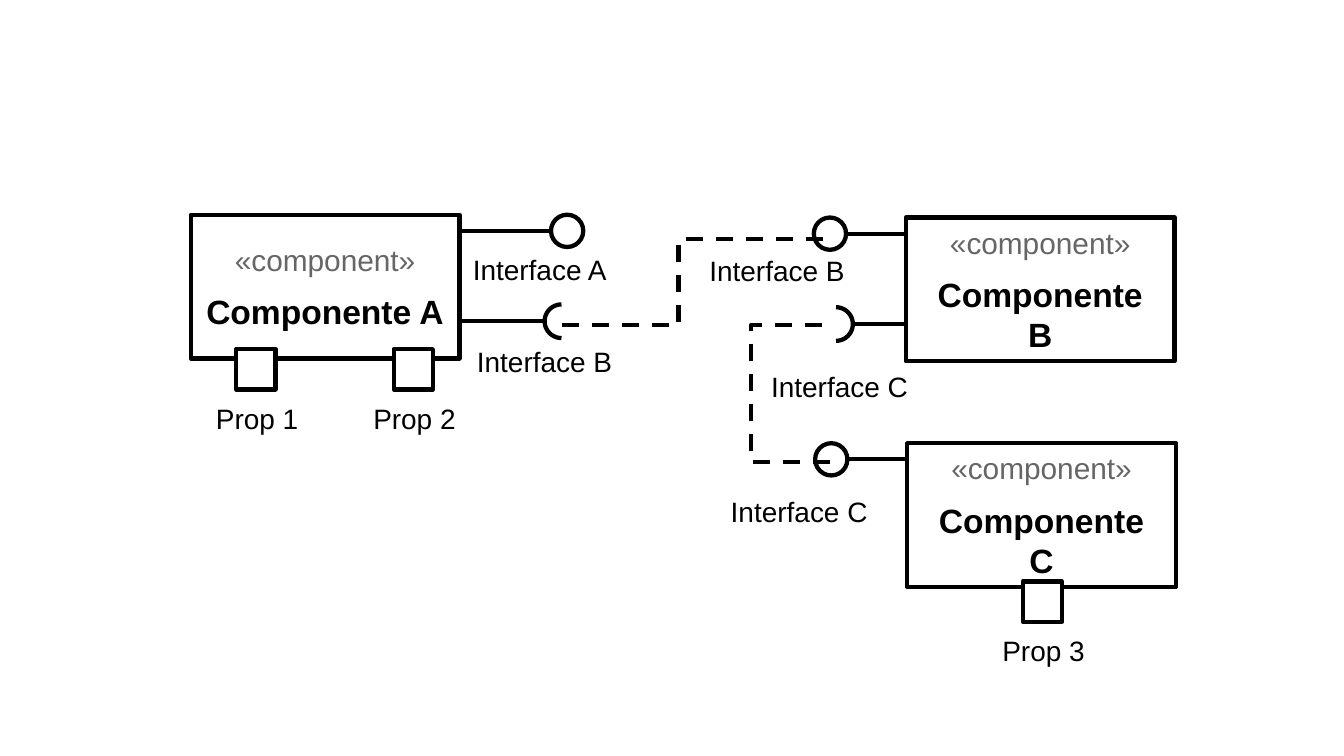
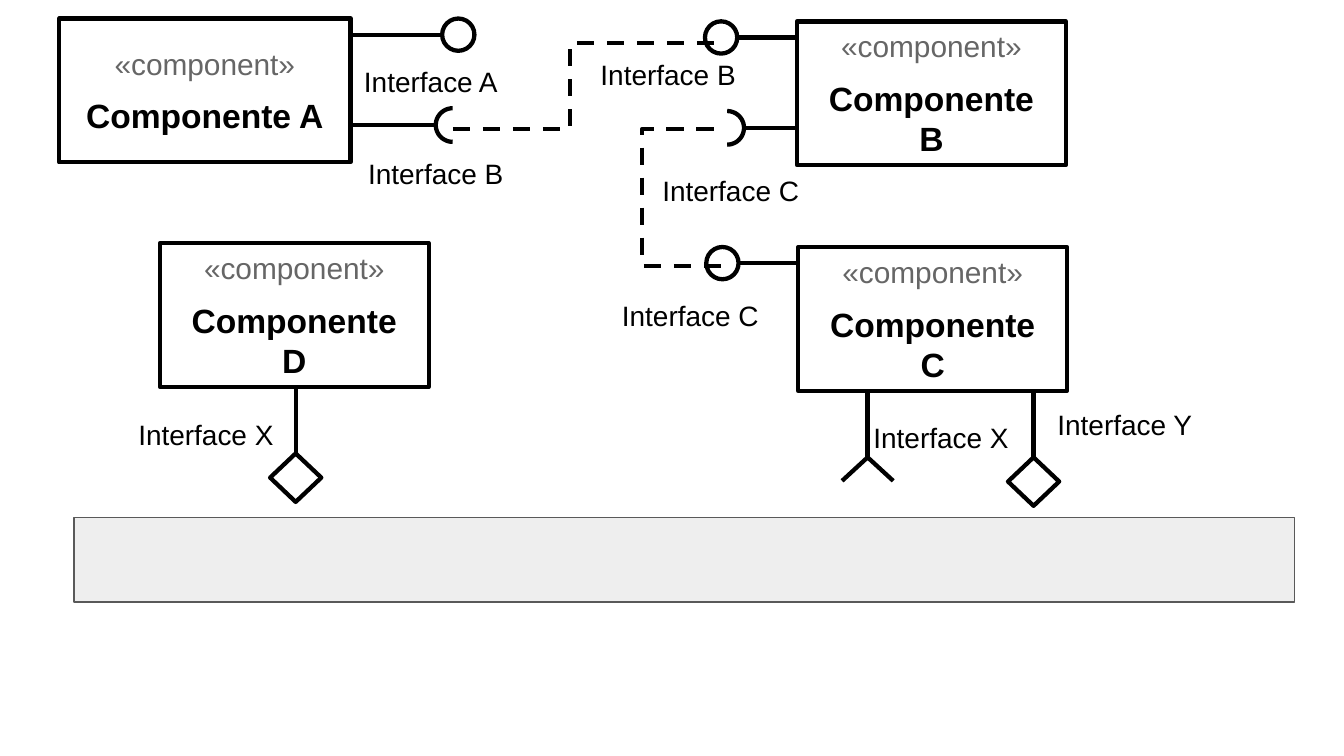
from dataclasses import dataclass
from math import cos, pi, sin

from pptx import Presentation
from pptx.dml.color import RGBColor
from pptx.enum.dml import MSO_LINE
from pptx.enum.shapes import MSO_CONNECTOR, MSO_SHAPE
from pptx.enum.text import MSO_ANCHOR, PP_ALIGN
from pptx.oxml.ns import qn
from pptx.util import Pt
from lxml.etree import SubElement


@dataclass(frozen=True)
class Theme:
    ink: str = "000000"
    paper: str = "FFFFFF"
    muted: str = "666666"
    bus_fill: str = "EEEEEE"
    bus_line: str = "595959"
    font: str = "Arial"
    stereotype_size: float = 16
    name_size: float = 18
    label_size: float = 15
    stroke: float = 2.3
    thin: float = 0.75


THEME = Theme()
WIDTH, HEIGHT = 720, 405
BOX_WIDTH, BOX_HEIGHT = 144, 77
BALL = 17.3
PROVIDED_DEPTH, REQUIRED_DEPTH = 8.6, 57
DIAMOND = (27.4, 26)
CHEVRON_HEIGHT = 12.6
DROP_LENGTH = 34.6
PROPERTY = (21, 21.6)

# Places in INTERFACES, WIRES and LABELS count from the top right corner of component A.
COMPONENT_B = (239.1, 1.5)
COMPONENT_C = (239.8, 122.4)

# kind, corner of its component, direction away from it, length of the line
INTERFACES = [
    ("provided", (0, 0), 1, 49),
    ("required", (0, 0), 1, 44.6),
    ("provided", COMPONENT_B, -1, 32),
    ("required", COMPONENT_B, -1, 27.4),
    ("provided", COMPONENT_C, -1, 32),
]
WIRES = [
    [(54.7, 59), (117.4, 59), (117.4, 13), (198.7, 13)],
    [(194.4, 59), (156.2, 59), (156.2, 132.5), (200.9, 132.5)],
]
LABELS = [
    ("Interface B", 126.7, 17.3, 107.3),
    ("Interface C", 159.8, 79.2, 107.3),
    ("Interface C", 138.2, 146.2, 103),
]
LABELS_A = [
    ("Interface A", 0, 16.6, 107.3),
    ("Interface B", 2.2, 66.2, 111.6),
]

# text, middle of the square from the component's left, overlap with the component
PROPERTY_SLIDE = {
    "origin": (246.2, 115.1),
    "width_a": 144,
    "label_shift": 0,
    "properties": {
        "Componente A": [("Prop 1", 34.9, 5), ("Prop 2", 119.2, 5)],
        "Componente C": [("Prop 3", 72.4, 3)],
    },
}
BUS_SLIDE = {
    "origin": (187.9, 10),
    "width_a": 156.2,
    "label_shift": 4.3,
    "extra": ("Componente D", 85.7, 130.3),
    # end mark, distance from the component's left
    "drops": {
        "Componente C": [("chevron", 37.1), ("diamond", 126)],
        "Componente D": [("diamond", 72.7)],
    },
    "drop_labels": [
        ("Interface X", 460.8, 221.8, 111.6),
        ("Interface Y", 559.4, 214.6, 107.3),
        ("Interface X", 67, 220.3, 90.7),
    ],
    "bus": (39.6, 277.2, 653.8, 45.4),
}


def color(value):
    return RGBColor.from_string(value)


def apply(target, **values):
    for name, value in values.items():
        setattr(target, name, value)


def style_line(item, line_color=THEME.ink, weight=THEME.stroke):
    item.line.color.rgb = color(line_color)
    item.line.width = Pt(weight)


def add_block(page, kind, left, top, width, height, fill=THEME.paper, **line):
    block = page.shapes.add_shape(kind, Pt(left), Pt(top), Pt(width), Pt(height))
    block.shadow.inherit = False
    block.fill.solid()
    block.fill.fore_color.rgb = color(fill)
    style_line(block, **line)
    return block


def add_line(page, start, end):
    line = page.shapes.add_connector(MSO_CONNECTOR.STRAIGHT, *map(Pt, start + end))
    style_line(line)
    SubElement(line._element.spPr, qn("a:effectLst"))


def add_polyline(page, points, dash=None):
    corners = [(Pt(x), Pt(y)) for x, y in points]
    builder = page.shapes.build_freeform(*corners[0])
    builder.add_line_segments(corners[1:], close=False)
    outline = builder.convert_to_shape()
    outline.shadow.inherit = False
    outline.fill.background()
    style_line(outline)
    if dash:
        outline.line.dash_style = dash


def write(para, text, size, ink=THEME.ink, bold=False):
    span = para.add_run()
    span.text = text
    apply(span.font, name=THEME.font, size=Pt(size), bold=bold)
    span.font.color.rgb = color(ink)


def add_label(page, text, left, top, width):
    frame = page.shapes.add_textbox(Pt(left), Pt(top), Pt(width), Pt(25.5)).text_frame
    apply(frame, word_wrap=True, margin_left=Pt(7.2), margin_right=Pt(7.2),
          margin_top=Pt(3.6), margin_bottom=Pt(3.6))
    write(frame.paragraphs[0], text, THEME.label_size)


def add_component(page, name, left, top, width):
    box = add_block(page, MSO_SHAPE.RECTANGLE, left, top, width, BOX_HEIGHT)
    frame = box.text_frame
    apply(frame, word_wrap=True, vertical_anchor=MSO_ANCHOR.MIDDLE,
          margin_left=Pt(8.1), margin_right=Pt(8.1),
          margin_top=Pt(4.1), margin_bottom=Pt(4.1))
    stereotype, title = frame.paragraphs[0], frame.add_paragraph()
    stereotype.alignment = title.alignment = PP_ALIGN.CENTER
    title.space_before = Pt(7.5)
    write(stereotype, "«component»", THEME.stereotype_size, THEME.muted)
    write(title, name, THEME.name_size, bold=True)


def add_interface(page, kind, corner, direction, length):
    """Draw a line ending in a ball (provided) or a socket (required)."""
    x, y = corner
    y += PROVIDED_DEPTH if kind == "provided" else REQUIRED_DEPTH
    end = x + direction * length
    add_line(page, (x, y), (end, y))
    radius = BALL / 2
    middle = end + direction * radius
    if kind == "provided":
        add_block(page, MSO_SHAPE.OVAL, middle - radius, y - radius, BALL, BALL)
        return
    radius = 9
    middle = end + direction * (radius + 1)
    angles = [pi * step / 24 - pi / 2 for step in range(25)]
    add_polyline(page, [(middle - direction * radius * cos(angle), y + radius * sin(angle))
                        for angle in angles])


def add_property(page, component, text, middle, overlap):
    left, top, _ = component
    width, height = PROPERTY
    x, y = left + middle - width / 2, top + BOX_HEIGHT - overlap
    add_block(page, MSO_SHAPE.RECTANGLE, x, y, width, height)
    add_label(page, text, x - 18, y + 24.5, 60.5)


def add_drop(page, component, mark, distance):
    """Draw a line down from a component, ending in a diamond or a chevron."""
    left, top, _ = component
    x, start = left + distance, top + BOX_HEIGHT + 1
    end = start + DROP_LENGTH
    half = DIAMOND[0] / 2
    add_line(page, (x, start), (x, end))
    if mark == "diamond":
        add_block(page, MSO_SHAPE.FLOWCHART_DECISION, x - half, end, *DIAMOND)
    else:
        add_polyline(page, [(x - half, end + CHEVRON_HEIGHT), (x, end),
                            (x + half, end + CHEVRON_HEIGHT)])


def add_diagram(page, content):
    origin_x, origin_y = content["origin"]

    def place(point):
        return origin_x + point[0], origin_y + point[1]

    width_a = content["width_a"]
    components = {
        "Componente A": (origin_x - width_a, origin_y, width_a),
        "Componente B": (*place(COMPONENT_B), BOX_WIDTH),
        "Componente C": (*place(COMPONENT_C), BOX_WIDTH),
    }
    if "extra" in content:
        name, left, top = content["extra"]
        components[name] = (left, top, BOX_WIDTH)

    for name, area in components.items():
        add_component(page, name, *area)
    for kind, corner, direction, length in INTERFACES:
        add_interface(page, kind, place(corner), direction, length)
    for labels, shift in ((LABELS_A, content["label_shift"]), (LABELS, 0)):
        for text, x, y, width in labels:
            add_label(page, text, *place((x, y + shift)), width)
    for wire in WIRES:
        add_polyline(page, [place(point) for point in wire], MSO_LINE.DASH)
    for key, draw in (("properties", add_property), ("drops", add_drop)):
        for name, entries in content.get(key, {}).items():
            for entry in entries:
                draw(page, components[name], *entry)
    for label in content.get("drop_labels", []):
        add_label(page, *label)
    if "bus" in content:
        add_block(page, MSO_SHAPE.RECTANGLE, *content["bus"], fill=THEME.bus_fill,
                  line_color=THEME.bus_line, weight=THEME.thin)


def main():
    deck = Presentation()
    apply(deck, slide_width=Pt(WIDTH), slide_height=Pt(HEIGHT))
    blank = deck.slide_layouts[6]
    for content in (PROPERTY_SLIDE, BUS_SLIDE):
        add_diagram(deck.slides.add_slide(blank), content)
    deck.save("out.pptx")


if __name__ == "__main__":
    main()
